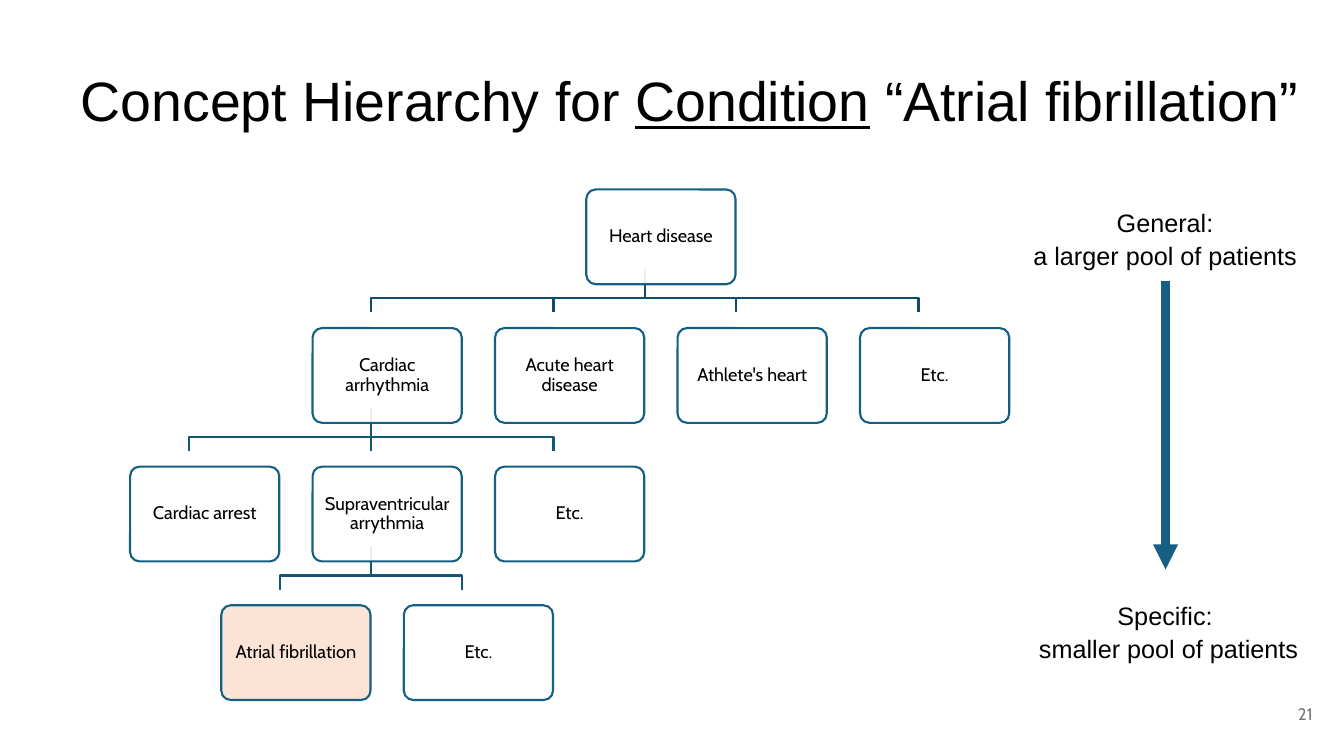
from lxml.etree import SubElement
from pptx import Presentation
from pptx.dml.color import RGBColor
from pptx.enum.shapes import MSO_CONNECTOR as Connector, MSO_SHAPE as Shape
from pptx.enum.text import MSO_ANCHOR as Anchor, MSO_AUTO_SIZE as AutoSize, PP_ALIGN as Align
from pptx.oxml.ns import qn
from pptx.util import Inches, Pt

BLACK = RGBColor(0x00, 0x00, 0x00)
WHITE = RGBColor(0xFF, 0xFF, 0xFF)
GREY = RGBColor(0x79, 0x79, 0x79)
BLUE = RGBColor(0x15, 0x60, 0x82)
TOP_BRANCH = RGBColor(0x11, 0x4D, 0x68)
LOWER_BRANCH = RGBColor(0x13, 0x57, 0x76)
PEACH = RGBColor(0xFB, 0xE3, 0xD6)

CARD_WIDTH, CARD_HEIGHT = 1.48, 0.94
COLUMN_STEP, ROW_STEP = 1.81, 1.375
TRUNK_X, TRUNK_Y, BAR_Y, BRANCH_END = 0.58, 0.79, 1.08, 1.22

# Each concept is (label, column, children); columns count in card steps.
HIERARCHY = ("Heart disease", 2.5, [
    ("Cardiac arrhythmia", 1, [
        ("Cardiac arrest", 0, []),
        ("Supraventricular arrythmia", 1, [
            ("Atrial fibrillation", 0.5, []),
            ("Etc.", 1.5, []),
        ]),
        ("Etc.", 2, []),
    ]),
    ("Acute heart disease", 2, []),
    ("Athlete's heart", 3, []),
    ("Etc.", 4, []),
])


def set_font(paragraph, name, size, color):
    """Give a whole paragraph its font."""
    paragraph.font.name = name
    paragraph.font.size = Pt(size)
    paragraph.font.color.rgb = color


def set_margins(frame, margin):
    """Give a text frame the same margin on all sides."""
    frame.margin_left = frame.margin_right = Inches(margin)
    frame.margin_top = frame.margin_bottom = Inches(margin)


def add_line(slide, start, end, color, width):
    """Draw a straight line without a shadow."""
    line = slide.shapes.add_connector(Connector.STRAIGHT, *map(Inches, start + end))
    line.line.color.rgb = color
    line.line.width = Pt(width)
    SubElement(line._element.spPr, qn("a:effectLst"))
    return line


def add_title(slide, left, top, width, height):
    """Fill the title placeholder, underlining the domain name."""
    title = slide.shapes.title
    title.left, title.top, title.width, title.height = map(Inches, (left, top, width, height))
    frame = title.text_frame
    frame.auto_size = AutoSize.NONE
    frame.word_wrap = True
    frame.vertical_anchor = Anchor.TOP
    set_margins(frame, 0.13)
    paragraph = frame.paragraphs[0]
    paragraph.alignment = Align.LEFT
    paragraph.line_spacing = 0.9
    set_font(paragraph, "Arial", 39.6, BLACK)
    for text, underlined in (("Concept Hierarchy for ", False), ("Condition", True),
                             (" “Atrial fibrillation”", False)):
        run = paragraph.add_run()
        run.text = text
        run.font.underline = underlined


def add_branches(slide, left, top, concept, level=0):
    """Draw the lines from a concept to its children, lowest levels last."""
    _, column, children = concept
    color = LOWER_BRANCH if level else TOP_BRANCH
    trunk = left + column * COLUMN_STEP + TRUNK_X
    row = top + level * ROW_STEP
    start = (trunk, row + TRUNK_Y)
    for child in children:
        child_x = left + child[1] * COLUMN_STEP + TRUNK_X
        end = (child_x, row + BRANCH_END)
        if child_x == trunk:
            add_line(slide, start, end, color, 1.5)
        else:
            builder = slide.shapes.build_freeform(*map(Inches, start))
            corners = [(trunk, row + BAR_Y), (child_x, row + BAR_Y), end]
            builder.add_line_segments([(Inches(x), Inches(y)) for x, y in corners], close=False)
            branch = builder.convert_to_shape()
            branch.shadow.inherit = False
            branch.fill.background()
            branch.line.color.rgb = color
            branch.line.width = Pt(1.5)
        add_branches(slide, left, top, child, level + 1)


def add_cards(slide, left, top, concept, level=0):
    """Draw the card of a concept and those of its children."""
    label, column, children = concept
    card = slide.shapes.add_shape(
        Shape.ROUNDED_RECTANGLE, Inches(left + column * COLUMN_STEP),
        Inches(top + level * ROW_STEP), Inches(CARD_WIDTH), Inches(CARD_HEIGHT))
    card.adjustments[0] = 0.1
    card.shadow.inherit = False
    card.line.color.rgb = BLUE
    card.line.width = Pt(1.5)
    card.fill.solid()
    if label == "Atrial fibrillation":
        card.fill.fore_color.rgb = PEACH
    else:
        card.fill.fore_color.rgb = WHITE
        color = card._element.spPr.find(qn("a:solidFill")).find(qn("a:srgbClr"))
        SubElement(color, qn("a:alpha"), val="90000")
    frame = card.text_frame
    frame.word_wrap = True
    frame.vertical_anchor = Anchor.MIDDLE
    set_margins(frame, 0.08)
    paragraph = frame.paragraphs[0]
    paragraph.text = label
    paragraph.alignment = Align.CENTER
    paragraph.line_spacing = 0.9
    set_font(paragraph, "Cabin", 13, BLACK)
    for child in children:
        add_cards(slide, left, top, child, level + 1)


def add_scale(slide, left, top, width):
    """Place the two captions and the arrow from general to specific."""
    captions = ((0, ("General: ", "a larger pool of patients ")),
                (3.9, ("Specific: ", "smaller pool of patients")))
    for offset, lines in captions:
        caption = slide.shapes.add_textbox(
            Inches(left), Inches(top + offset), Inches(width), Inches(0.72))
        frame = caption.text_frame
        frame.word_wrap = True
        frame.text = "\n".join(lines)
        for paragraph in frame.paragraphs:
            paragraph.alignment = Align.CENTER
            paragraph.line_spacing = 1.07
            set_font(paragraph, "Arial", 18, BLACK)
    center = left + 1.41
    arrow = add_line(slide, (center, top + 0.8), (center, top + 3.66), BLUE, 6)
    SubElement(arrow.line._get_or_add_ln(), qn("a:tailEnd"), type="triangle")


def add_page_number(slide, left, top, width, height):
    """Write the page number at the right of its box."""
    number = slide.shapes.add_textbox(*map(Inches, (left, top, width, height)))
    frame = number.text_frame
    frame.word_wrap = True
    frame.vertical_anchor = Anchor.MIDDLE
    set_margins(frame, 0.13)
    paragraph = frame.paragraphs[0]
    paragraph.text = "21"
    paragraph.alignment = Align.RIGHT
    set_font(paragraph, "Cabin", 12, GREY)


def main():
    """Build the concept hierarchy slide."""
    presentation = Presentation()
    presentation.slide_width = Inches(13.33)
    presentation.slide_height = Inches(7.5)
    slide = presentation.slides.add_slide(presentation.slide_layouts[5])
    add_title(slide, 0.67, 0.6, 12.42, 0.84)
    add_page_number(slide, 12.35, 6.8, 0.8, 0.57)
    add_branches(slide, 1.29, 1.88, HIERARCHY)
    add_cards(slide, 1.29, 1.88, HIERARCHY)
    add_scale(slide, 10.15, 1.99, 2.88)
    presentation.save("out.pptx")


if __name__ == "__main__":
    main()
